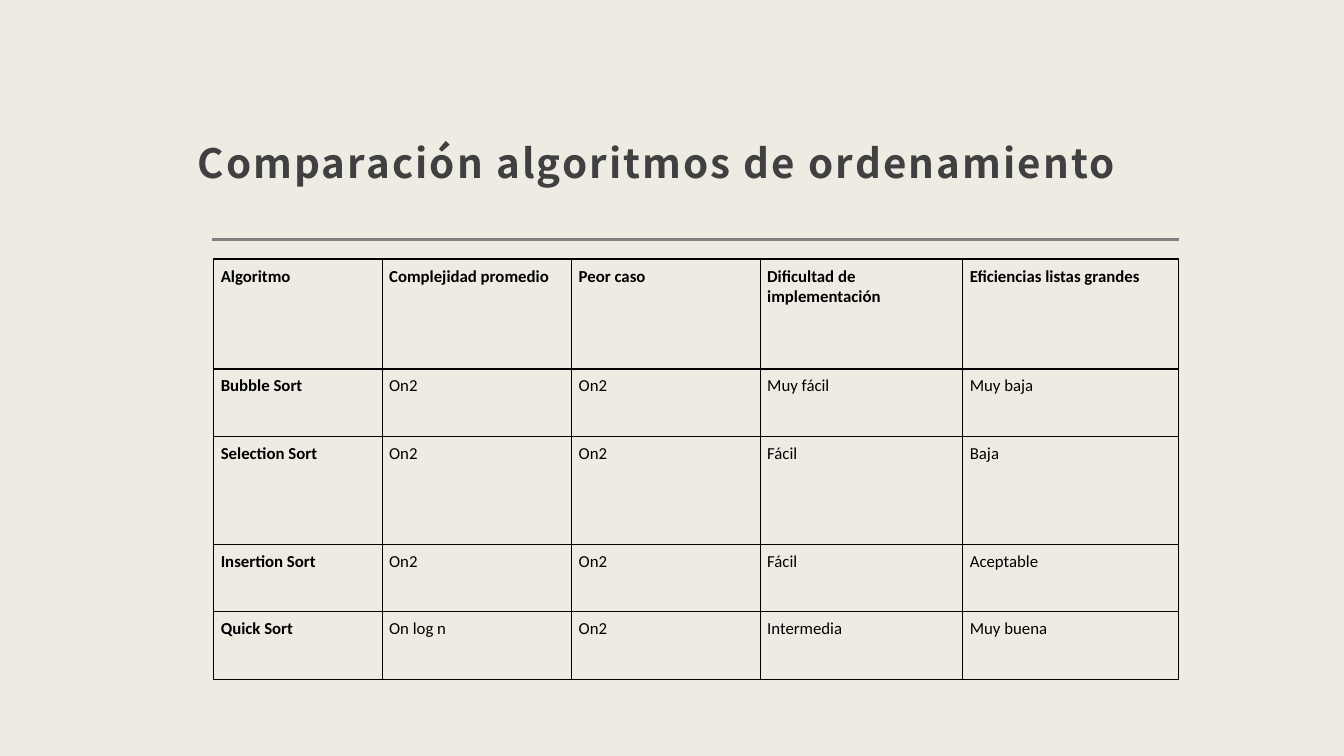
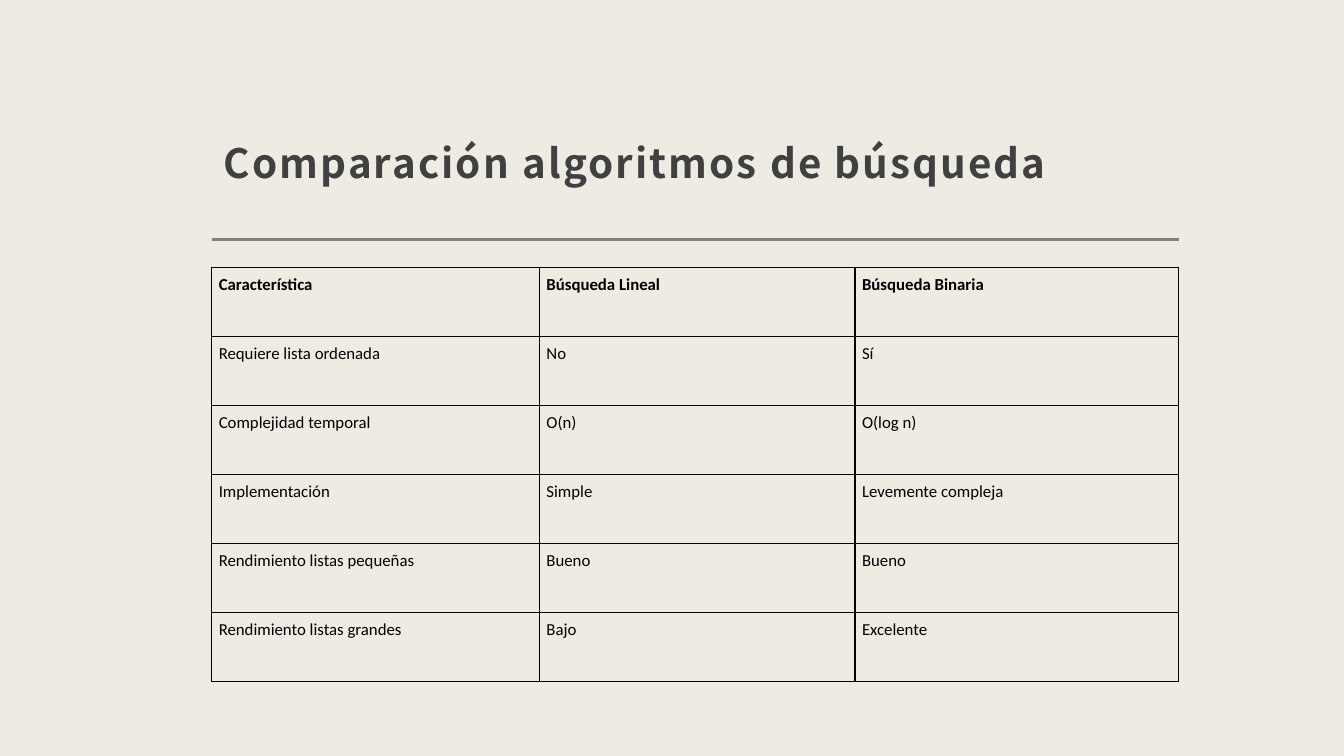
from lxml.etree import SubElement
from pptx import Presentation
from pptx.dml.color import RGBColor
from pptx.enum.shapes import MSO_CONNECTOR
from pptx.enum.text import MSO_ANCHOR, MSO_AUTO_SIZE, PP_ALIGN
from pptx.oxml import parse_xml
from pptx.oxml.ns import nsdecls, qn
from pptx.util import Inches, Pt

CREAM = RGBColor(0xEE, 0xEB, 0xE2)
CHARCOAL = RGBColor(0x40, 0x40, 0x40)
GRAY = RGBColor(0x80, 0x80, 0x80)
BLACK = RGBColor(0, 0, 0)

TITLE_FONT = {"name": "Noto Sans CJK JP", "size": Pt(28.8), "bold": True}
CELL_FONT = {"name": "Calibri", "size": Pt(12)}
TITLE_FRAME = {
    "auto_size": MSO_AUTO_SIZE.NONE,
    "word_wrap": True,
    "vertical_anchor": MSO_ANCHOR.BOTTOM,
    "margin_left": Inches(0.12),
    "margin_right": Inches(0.12),
    "margin_top": Inches(0.12),
    "margin_bottom": Inches(0.1),
}
CELL_MARGINS = {f"margin_{side}": Inches(0.07)
                for side in ("left", "right", "top", "bottom")}
RULE_LEFT, RULE_RIGHT, RULE_Y = 2.1, 11.69, 2.38

SORTING = [
    ["Algoritmo", "Complejidad promedio", "Peor caso",
     "Dificultad de implementación", "Eficiencias listas grandes"],
    ["Bubble Sort", "On2", "On2", "Muy fácil", "Muy baja"],
    ["Selection Sort", "On2", "On2", "Fácil", "Baja"],
    ["Insertion Sort", "On2", "On2", "Fácil", "Aceptable"],
    ["Quick Sort", "On log n", "On2", "Intermedia", "Muy buena"],
]
SEARCH = [
    ["Característica", "Búsqueda Lineal", "Búsqueda Binaria"],
    ["Requiere lista ordenada", "No", "Sí"],
    ["Complejidad temporal", "O(n)", "O(log n)"],
    ["Implementación", "Simple", "Levemente compleja"],
    ["Rendimiento listas pequeñas", "Bueno", "Bueno"],
    ["Rendimiento listas grandes", "Bajo", "Excelente"],
]


def apply(obj, formats):
    for name, value in formats.items():
        setattr(obj, name, value)


def format_run(r, font, color, bold):
    apply(r.font, font)
    r.font.bold = bold
    r.font.color.rgb = color


def add_title(s, text, left, width):
    title = s.shapes.title
    apply(title, {"left": Inches(left), "top": Inches(0.48),
                  "width": Inches(width), "height": Inches(1.47)})
    tf = title.text_frame
    apply(tf, TITLE_FRAME)
    p = tf.paragraphs[0]
    apply(p, {"alignment": PP_ALIGN.LEFT, "line_spacing": 1.3})
    r = p.add_run()
    r.text = text
    format_run(r, TITLE_FONT, CHARCOAL, True)
    r.font._element.set("spc", "150")


def add_rule(s):
    rule = s.shapes.add_connector(
        MSO_CONNECTOR.STRAIGHT, Inches(RULE_LEFT), Inches(RULE_Y),
        Inches(RULE_RIGHT), Inches(RULE_Y))
    rule.line.color.rgb = GRAY
    rule.line.width = Pt(2)
    SubElement(rule._element.spPr, qn("a:effectLst"))


def add_borders(cell):
    tc_pr = cell._tc.get_or_add_tcPr()
    for side in "LRTB":
        tc_pr.append(parse_xml(
            f'<a:ln{side} {nsdecls("a")} w="{Pt(1)}"><a:solidFill>'
            f'<a:srgbClr val="{BLACK}"/></a:solidFill></a:ln{side}>'))


def fill_cell(cell, text, bold):
    add_borders(cell)
    cell.fill.background()
    apply(cell, CELL_MARGINS)
    r = cell.text_frame.paragraphs[0].add_run()
    r.text = text
    format_run(r, CELL_FONT, BLACK, bold)


def add_table(s, data, left, top, col_widths, row_heights, bold_first_col):
    frame = s.shapes.add_table(
        len(data), len(data[0]), Inches(left), Inches(top),
        Inches(sum(col_widths)), Inches(sum(row_heights)))
    table = frame.table
    table.horz_banding = False
    for col, width in zip(table.columns, col_widths):
        col.width = Inches(width)
    for row, height in zip(table.rows, row_heights):
        row.height = Inches(height)
    for i, texts in enumerate(data):
        for j, text in enumerate(texts):
            bold = i == 0 or (bold_first_col and j == 0)
            fill_cell(table.cell(i, j), text, bold)


def add_comparison(prs, title, title_left, title_width, **table):
    """Add a slide with a title, the rule below it and a table."""
    s = prs.slides.add_slide(prs.slide_layouts.get_by_name("Title Only"))
    add_rule(s)
    add_title(s, title, title_left, title_width)
    add_table(s, **table)


def main():
    prs = Presentation()
    prs.slide_width, prs.slide_height = Inches(13.33), Inches(7.5)
    background = prs.slide_master.background.fill
    background.solid()
    background.fore_color.rgb = CREAM

    add_comparison(
        prs, "Comparación algoritmos de ordenamiento", 1.84, 10.04,
        data=SORTING, left=2.12, top=2.57,
        col_widths=[1.67, 1.88, 1.87, 2.01, 2.14],
        row_heights=[1.09, 0.67, 1.07, 0.67, 0.67], bold_first_col=True)
    add_comparison(
        prs, "Comparación algoritmos de búsqueda",
        RULE_LEFT, RULE_RIGHT - RULE_LEFT,
        data=SEARCH, left=RULE_LEFT, top=2.65,
        col_widths=[3.25, 3.13, 3.21],
        row_heights=[0.685] * len(SEARCH), bold_first_col=False)
    prs.save("out.pptx")


if __name__ == "__main__":
    main()
